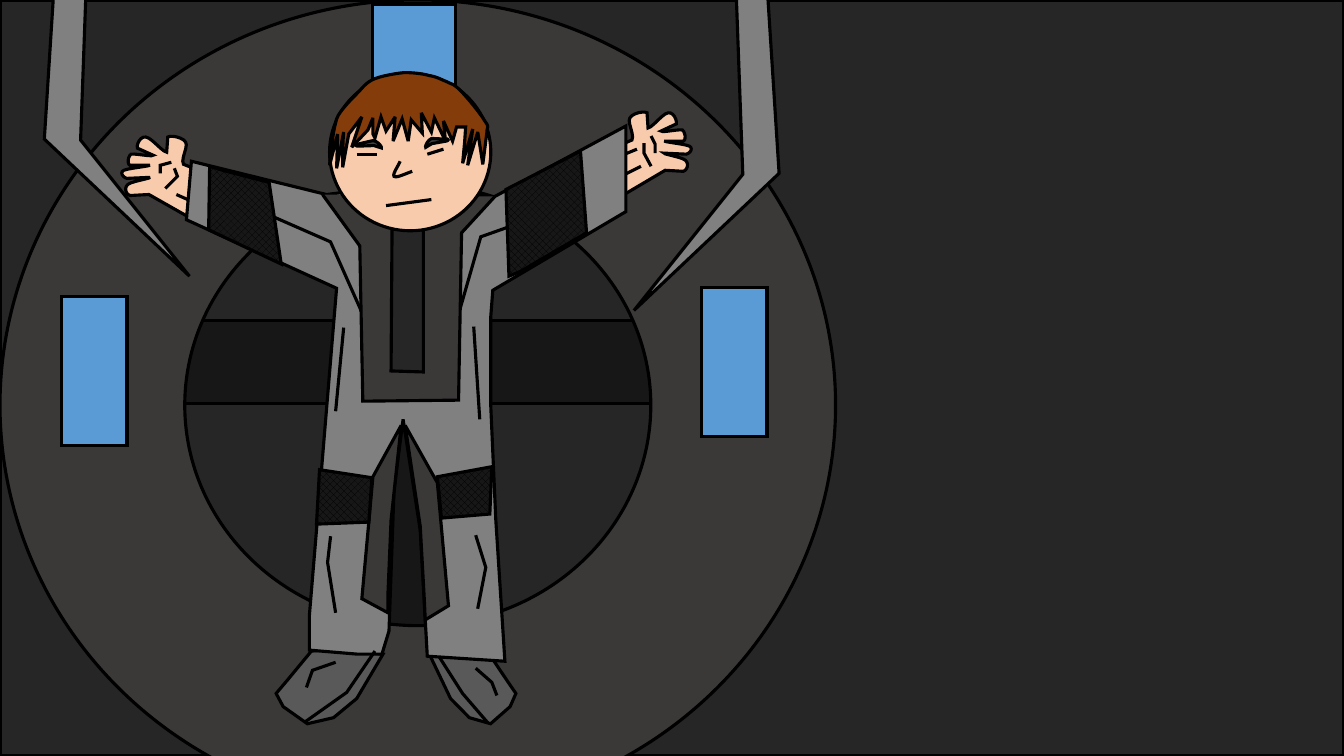
import dataclasses

import lxml.etree
import pptx
import pptx.dml.color
import pptx.enum.dml
import pptx.enum.shapes
import pptx.oxml.ns
import pptx.util


@dataclasses.dataclass(frozen=True)
class Theme:
    backdrop: str = "595959"
    wall: str = "262626"
    beam: str = "181717"
    dark: str = "3B3838"
    lamp: str = "5B9BD5"
    suit: str = "808080"
    boot: str = "595959"
    skin: str = "F8CBAD"
    hair: str = "843C0B"
    brow: str = "404040"
    ink: str = "000000"
    weave: str = "weave"  # dots of ink on the beam colour
    line_width: float = 2.25


@dataclasses.dataclass(frozen=True)
class Mirror:
    """Left-right twin: x `edge` lands on `twin_edge`, then widths stretch and y drops."""
    edge: float
    twin_edge: float
    stretch: float = 1
    drop: float = 0

    def reflect(self, points):
        return [(self.twin_edge - (x - self.edge) * self.stretch, y + self.drop) for x, y in points]


@dataclasses.dataclass(frozen=True)
class Part:
    """Outlines in inches: "x,y" points, C before the three points of a curve, Z to close."""
    outlines: tuple
    fill: str = None
    mirror: Mirror = None
    rotation: float = 0


THEME = Theme()
KINDS = pptx.enum.shapes.MSO_SHAPE
CURVE_STEPS = 6

# Hand: wrist, thumb, four fingers, wrist
HAND = " ".join((
    "6.08,1.47 6.27,1.39",
    "C 6.3,1.34 6.22,1.21 6.25,1.17 C 6.28,1.12 6.39,1.1 6.42,1.12 6.43,1.27",
    "C 6.47,1.27 6.58,1.12 6.63,1.12 C 6.68,1.11 6.72,1.19 6.71,1.23 6.56,1.3",
    "C 6.57,1.32 6.73,1.28 6.77,1.29 C 6.8,1.31 6.81,1.39 6.78,1.4 6.59,1.4",
    "C 6.6,1.41 6.8,1.43 6.84,1.45 C 6.88,1.47 6.85,1.52 6.81,1.53 6.59,1.52",
    "C 6.58,1.53 6.77,1.56 6.8,1.59 C 6.84,1.62 6.82,1.69 6.78,1.7 6.6,1.69",
    "6.04,2.02 Z"))
PALM_CREASES = (
    "6.06,1.8 6.36,1.65", "6.05,1.59 6.32,1.48",
    "6.39,1.42 6.39,1.52 6.46,1.65", "6.46,1.35 6.5,1.43 6.5,1.52",
    "1.64,1.87 1.76,1.75 1.73,1.67", "1.59,1.72 1.59,1.64 1.7,1.61", "1.75,1.93 2.18,2.12")
BOOT = "3.09,6.46 2.85,6.75 2.74,6.88 2.81,7.01 3.05,7.18 3.31,7.12 3.54,6.93 3.8,6.49 3.3,6.44 Z"

# Suit: trouser legs, right arm, shoulders, left arm and side
SUIT = " ".join((
    "3.07,6.45 3.55,6.49 3.79,6.49 3.86,6.26 3.91,4.86 4,4.16 4.17,5.26 4.24,6.51 5.01,6.56",
    "4.92,5.16 4.87,4.03 4.87,3.14 4.89,2.88 6.21,2.1 6.21,1.25 4.89,1.96",
    "4.55,1.91 3.55,1.89 3.24,1.93 1.9,1.6 1.85,2.18 3.34,2.86 3.07,6.11 Z"))
SLEEVE_FOLDS = ("2.71,2.15 3.28,2.4 3.64,3.21", "4.54,3.15 4.77,2.35 5.25,2.18")
INNER_LEGS = (
    "4.21,5.94 4.17,5.22 4.02,4.22 4.34,4.79 4.45,6.01 4.22,6.15 Z",
    "3.85,5.87 3.88,5.16 3.98,4.22 3.7,4.73 3.59,5.94 3.85,6.08 Z")
VEST = "3.2,1.93 3.57,2.44 3.6,3.98 4.55,3.97 4.58,2.31 4.91,1.95"
VEST_STRIP = "3.89,2.27 3.88,3.68 4.2,3.69 4.2,2.28 Z"
ELBOW_PADS = (
    "2.21,1.69 2.67,1.81 2.78,2.55 2.79,2.62 2.07,2.28 2.08,1.65 Z",
    "5.17,2.69 5.82,2.31 5.76,1.5 5.02,1.88 5.05,2.74 Z")
KNEE_PADS = (
    "3.17,4.66 3.69,4.74 3.66,5.18 3.14,5.2 Z",
    "4.34,4.73 4.38,5.14 4.86,5.1 4.88,4.63 Z")
HIP_SEAMS = ("4.7,3.24 4.76,4.16", "3.41,3.25 3.33,4.08")
SHIN_FOLDS = ("3.28,5.32 3.25,5.58 3.33,6.08", "4.72,5.31 4.82,5.63 4.74,6.04")
BOOT_SEAMS = (
    "3.04,6.82 3.1,6.65 3.33,6.57", "4.72,6.63 4.88,6.77 4.93,6.9",
    "3.72,6.46 3.44,6.87 3.03,7.16", "4.36,6.52 4.59,6.88 4.84,7.17")

# Head
NOSE = "3.97,1.6 C 3.95,1.65 3.89,1.73 3.91,1.75 C 3.93,1.77 4.03,1.72 4.09,1.7"
MOUTH = "3.83,2.04 4.28,1.98"
EYES = ("3.54,1.53 3.74,1.53", "4.24,1.53 4.4,1.48")
BROW = ("3.71,1.45 3.78,1.48 C 3.79,1.47 3.75,1.41 3.71,1.4 "
        "C 3.68,1.4 3.57,1.42 3.54,1.42 C 3.52,1.43 3.54,1.44 3.56,1.44 Z")
LEFT_LOCKS = ("3.32,1.26 C 3.3,1.34 3.27,1.63 3.27,1.64 3.35,1.33 3.34,1.67 3.41,1.31 "
              "C 3.4,1.42 3.4,1.54 3.4,1.66 3.46,1.33")
FRINGE = ("3.59,1.16 3.49,1.46 3.65,1.29 3.7,1.17 3.7,1.33 3.72,1.37 3.78,1.16 3.83,1.3 "
          "3.92,1.16 3.9,1.4 3.99,1.18 4.05,1.4 4.08,1.19 4.19,1.32 4.18,1.12 4.28,1.31 "
          "4.31,1.17 4.42,1.4 4.4,1.2 4.49,1.4 4.53,1.26 4.62,1.26")
RIGHT_LOCKS = "4.61,1.41 4.59,1.62 4.69,1.28 4.64,1.64 4.74,1.31 4.79,1.63 4.83,1.32"
CROWN = ("C 4.83,1.25 4.86,1.27 4.81,1.2 C 4.77,1.13 4.63,0.96 4.57,0.9 "
         "C 4.5,0.83 4.49,0.84 4.43,0.81 C 4.38,0.79 4.33,0.76 4.26,0.75 "
         "C 4.19,0.73 4.1,0.72 4.01,0.72 C 3.92,0.73 3.8,0.75 3.72,0.78 "
         "C 3.65,0.81 3.62,0.84 3.56,0.91 C 3.49,0.98 3.36,1.11 3.34,1.18 Z")
HAIR = " ".join((LEFT_LOCKS, FRINGE, RIGHT_LOCKS, CROWN))

# Parts from back to front
BODY = (
    Part((BOOT,), THEME.boot, Mirror(3.8, 4.26, stretch=0.81)),
    Part((HAND,), THEME.skin, Mirror(6.04, 2.06, stretch=1.04, drop=0.24)),
    Part(PALM_CREASES),
    Part((SUIT,), THEME.suit),
    Part(SLEEVE_FOLDS),
    Part((*INNER_LEGS, VEST), THEME.dark),
    Part((*ELBOW_PADS, *KNEE_PADS), THEME.weave),
    Part((VEST_STRIP,), THEME.wall),
    Part((*HIP_SEAMS, *SHIN_FOLDS, *BOOT_SEAMS)),
)
FACE = (
    Part((NOSE, MOUTH, *EYES)),
    Part((BROW,), THEME.brow, Mirror(3.78, 4.22, stretch=0.92, drop=-0.03), rotation=354.2),
    Part((HAIR,), THEME.hair),
)
CLAWS = Part(("7.3,-0.2 7.37,1.73 6.29,3.08 7.73,1.72 7.61,-0.16 Z",), THEME.suit,
             Mirror(6.29, 1.88, drop=-0.34))


def length(inches):
    return pptx.util.Cm(inches * 2.54)


def color(code):
    return pptx.dml.color.RGBColor.from_string(code)


def draw_ink(shape):
    """Outline a shape or connector in ink, with sharp corners."""
    shape.line.color.rgb = color(THEME.ink)
    shape.line.width = pptx.util.Pt(THEME.line_width)
    outline = shape._element.spPr.find(pptx.oxml.ns.qn("a:ln"))
    lxml.etree.SubElement(outline, pptx.oxml.ns.qn("a:miter"), lim="800000")


def finish(shape, fill):
    if fill is None:
        shape.fill.background()
    elif fill == THEME.weave:
        shape.fill.patterned()
        shape.fill.pattern = pptx.enum.dml.MSO_PATTERN.PERCENT_50
        shape.fill.fore_color.rgb = color(THEME.ink)
        shape.fill.back_color.rgb = color(THEME.beam)
    else:
        shape.fill.solid()
        shape.fill.fore_color.rgb = color(fill)
    draw_ink(shape)
    shape.shadow.inherit = False
    return shape


def add_preset(shapes, kind, box, fill):
    return finish(shapes.add_shape(kind, *map(length, box)), fill)


def add_stroke(shapes, start, end):
    ends = map(length, (*start, *end))
    stroke = shapes.add_connector(pptx.enum.shapes.MSO_CONNECTOR.STRAIGHT, *ends)
    draw_ink(stroke)
    lxml.etree.SubElement(stroke._element.spPr, pptx.oxml.ns.qn("a:effectLst"))


def add_outline(shapes, points, closed, fill):
    first, *others = [(length(x), length(y)) for x, y in points]
    builder = shapes.build_freeform(*first)
    builder.add_line_segments(others, close=closed)
    return finish(builder.convert_to_shape(), fill)


def curve(*corners):
    """Points along a cubic curve, without its start."""
    for step in range(1, CURVE_STEPS + 1):
        t = step / CURVE_STEPS
        weights = ((1 - t) ** 3, 3 * t * (1 - t) ** 2, 3 * t * t * (1 - t), t ** 3)
        yield tuple(sum(w * value for w, value in zip(weights, axis)) for axis in zip(*corners))


def trace(outline):
    """Turn an outline string into its points."""
    points, tokens = [], iter(outline.removesuffix(" Z").split())

    def read(token):
        return tuple(map(float, token.split(",")))

    for token in tokens:
        if token == "C":
            points.extend(curve(points[-1], *(read(next(tokens)) for _ in range(3))))
        else:
            points.append(read(token))
    return points


def add_part(shapes, part):
    for outline in part.outlines:
        points = trace(outline)
        twins = [points, part.mirror.reflect(points)] if part.mirror else [points]
        for twin in twins:
            if len(twin) == 2:
                add_stroke(shapes, *twin)
            else:
                add_outline(shapes, twin, outline.endswith("Z"), part.fill).rotation = part.rotation


def add_chamber(shapes):
    add_preset(shapes, KINDS.RECTANGLE, (0, 0, 13.33, 7.5), THEME.wall)
    add_preset(shapes, KINDS.RECTANGLE, (0.61, 3.18, 6.99, 0.82), THEME.beam)
    add_preset(shapes, KINDS.RECTANGLE, (0.3, 3.57, 7.02, 0.82), THEME.beam).rotation = 90
    ring = add_preset(shapes, KINDS.DONUT, (0, 0, 8.29, 8.04), THEME.dark)
    ring.adjustments[0] = 0.228
    for lamp in ((0.61, 2.94, 0.65, 1.48), (3.7, 0.04, 0.82, 1.09), (6.96, 2.85, 0.65, 1.48)):
        add_preset(shapes, KINDS.RECTANGLE, lamp, THEME.lamp)


def add_figure(shapes):
    for part in BODY:
        add_part(shapes, part)
    add_preset(shapes, KINDS.OVAL, (3.27, 0.73, 1.6, 1.56), THEME.skin)
    for part in FACE:
        add_part(shapes, part)


def main():
    deck = pptx.Presentation()
    deck.slide_width, deck.slide_height = pptx.util.Cm(33.87), pptx.util.Cm(19.05)
    slide = deck.slides.add_slide(deck.slide_layouts[6])
    slide.background.fill.solid()
    slide.background.fill.fore_color.rgb = color(THEME.backdrop)
    add_chamber(slide.shapes)
    add_figure(slide.shapes.add_group_shape().shapes)
    add_part(slide.shapes, CLAWS)
    deck.save("out.pptx")


if __name__ == "__main__":
    main()
